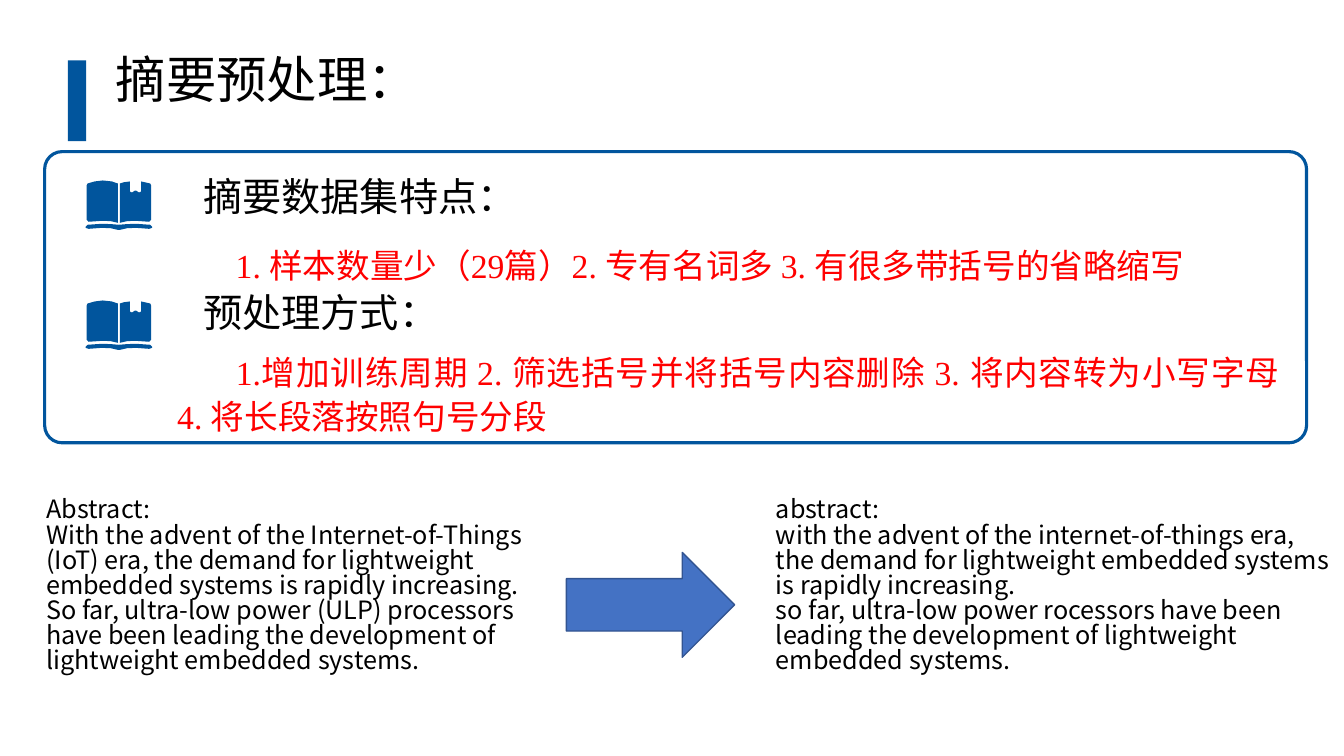
from dataclasses import dataclass

import pptx
import pptx.dml.color
import pptx.enum.shapes
import pptx.enum.text
import pptx.oxml
import pptx.oxml.ns
import pptx.util
from pptx.util import Pt


@dataclass(frozen=True)
class Theme:
    blue: str = "01559D"
    arrow: str = "4472C4"
    arrow_edge: str = "325491"
    black: str = "000000"
    red: str = "FF0000"
    sans: str = "Noto Sans CJK SC"
    serif: str = "Times New Roman"
    title_size: int = 36
    heading_size: int = 28
    points_size: int = 24
    sample_size: int = 18


THEME = Theme()


@dataclass(frozen=True)
class TextBlock:
    left: float
    top: float
    width: float
    height: float
    paragraphs: tuple[str, ...]
    size: int
    font: str = THEME.sans
    color: str = THEME.black
    margin: float = 0
    first_line: float = 0
    spacing: float = 0.83
    justified: bool = False


@dataclass(frozen=True)
class Section:
    icon_top: float
    heading: TextBlock
    points: TextBlock


def heading(top: float, text: str) -> TextBlock:
    return TextBlock(138.2, top, 570, 41, (text,), THEME.heading_size)


def points(top: float, width: float, height: float, text: str) -> TextBlock:
    return TextBlock(108.7, top, width, height, (text,), THEME.points_size, THEME.serif,
                     THEME.red, margin=10.8, first_line=41.8, spacing=1.1, justified=True)


def sample(left: float, width: float, *paragraphs: str) -> TextBlock:
    return TextBlock(left, 352.8, width, 160, paragraphs, THEME.sample_size)


TITLE = TextBlock(75.6, 38.2, 592.6, 51, ("摘要预处理：",), THEME.title_size)
SECTIONS = (
    Section(128.9, heading(125.3, "摘要数据集特点："),
            points(168.5, 833, 36.7, "1. 样本数量少（29篇）2. 专有名词多 3. 有很多带括号的省略缩写")),
    Section(214.6, heading(208.1, "预处理方式："),
            points(244.8, 812.2, 69, "1.增加训练周期 2. 筛选括号并将括号内容删除 "
                   "3. 将内容转为小写字母 4. 将长段落按照句号分段")),
)
SAMPLES = (
    sample(25.9, 362.2, "Abstract:",
           "With the advent of the Internet-of-Things (IoT) era, the demand for lightweight "
           "embedded systems is rapidly increasing. So far, ultra-low power (ULP) processors "
           "have been leading the development of lightweight embedded systems."),
    sample(547.2, 412.6, "abstract:",
           "with the advent of the internet-of-things era, the demand for lightweight "
           "embedded systems is rapidly increasing.",
           "so far, ultra-low power rocessors have been leading the development of "
           "lightweight embedded systems."),
)

# Book outlines in hundredths of an inch from the icon's top left corner
ICON_LEFT = 61.2
ICON_UNIT = 0.72
BOOK_BASE = ((16, 43), (25, 43.3), (33, 44), (41, 43.3), (50, 43), (64, 44), (66, 46),
             (66, 47), (63, 48), (50, 47), (41, 47.4), (34, 49), (32, 49), (25, 47.4),
             (16, 47), (3, 48), (0, 47), (0, 46), (2, 44))
RIGHT_PAGE = ((44, 1), (44, 11), (46, 12), (49, 10), (50, 10), (53, 12), (55, 11),
              (55, 1), (64, 3), (65, 5), (65, 39), (63, 41), (49, 40), (41, 40.4),
              (34, 42), (34, 3), (38, 1.8))
LEFT_PAGE = ((17, 0), (26, 1), (32, 3), (32, 42), (25, 40.4), (17, 40), (3, 41),
             (1, 39), (1, 5), (2, 3), (9, 1))


def rgb(color: str) -> pptx.dml.color.RGBColor:
    return pptx.dml.color.RGBColor.from_string(color)


def paint(shape, fill: str | None, line: str | None = None, line_width: float = 1) -> None:
    shape.shadow.inherit = False
    if fill:
        shape.fill.solid()
        shape.fill.fore_color.rgb = rgb(fill)
    else:
        shape.fill.background()
    if line:
        shape.line.color.rgb = rgb(line)
        shape.line.width = Pt(line_width)
    else:
        shape.line.fill.background()


def add_preset(slide, preset, left: float, top: float, width: float, height: float):
    return slide.shapes.add_shape(preset, Pt(left), Pt(top), Pt(width), Pt(height))


def add_text(slide, block: TextBlock) -> None:
    box = slide.shapes.add_textbox(Pt(block.left), Pt(block.top),
                                   Pt(block.width), Pt(block.height))
    frame = box.text_frame
    frame.word_wrap = True
    for index, text in enumerate(block.paragraphs):
        paragraph = frame.paragraphs[0] if index == 0 else frame.add_paragraph()
        paragraph.line_spacing = block.spacing
        if block.justified:
            paragraph.alignment = pptx.enum.text.PP_ALIGN.JUSTIFY
        properties = paragraph._p.get_or_add_pPr()
        properties.set("marL", str(Pt(block.margin)))
        properties.set("indent", str(Pt(block.first_line)))
        run = paragraph.add_run()
        run.text = text
        run.font.size = Pt(block.size)
        run.font.name = block.font
        run.font.color.rgb = rgb(block.color)
        east_asian = pptx.oxml.parse_xml(
            f'<a:ea {pptx.oxml.ns.nsdecls("a")} typeface="{THEME.sans}"/>')
        run.font._element.find(pptx.oxml.ns.qn("a:latin")).addnext(east_asian)


def add_book_icon(slide, top: float) -> None:
    """Draw the open book as one outline with three contours."""
    builder = None
    for contour in (BOOK_BASE, RIGHT_PAGE, LEFT_PAGE):
        start, *rest = [(Pt(x * ICON_UNIT), Pt(y * ICON_UNIT)) for x, y in contour]
        if builder is None:
            builder = slide.shapes.build_freeform(*start)
        else:
            builder.move_to(*start)
        builder.add_line_segments(rest, close=True)
    paint(builder.convert_to_shape(Pt(ICON_LEFT), Pt(top)), THEME.blue)


def main() -> None:
    presentation = pptx.Presentation()
    presentation.slide_width = Pt(960)
    presentation.slide_height = Pt(540)
    slide = presentation.slides.add_slide(presentation.slide_layouts[6])
    presets = pptx.enum.shapes.MSO_SHAPE

    add_text(slide, TITLE)
    paint(add_preset(slide, presets.RECTANGLE, 48.5, 43.2, 13, 57.6), THEME.blue)
    panel = add_preset(slide, presets.ROUNDED_RECTANGLE, 31.9, 108.3, 901.4, 208)
    panel.adjustments[0] = 0.06
    paint(panel, None, THEME.blue, 2.25)

    for section in SECTIONS:
        add_book_icon(slide, section.icon_top)
        add_text(slide, section.heading)
        add_text(slide, section.points)

    for block in SAMPLES:
        add_text(slide, block)
    arrow = add_preset(slide, presets.RIGHT_ARROW, 404.6, 394.6, 120.2, 74.9)
    paint(arrow, THEME.arrow, THEME.arrow_edge)

    presentation.save("out.pptx")


if __name__ == "__main__":
    main()
